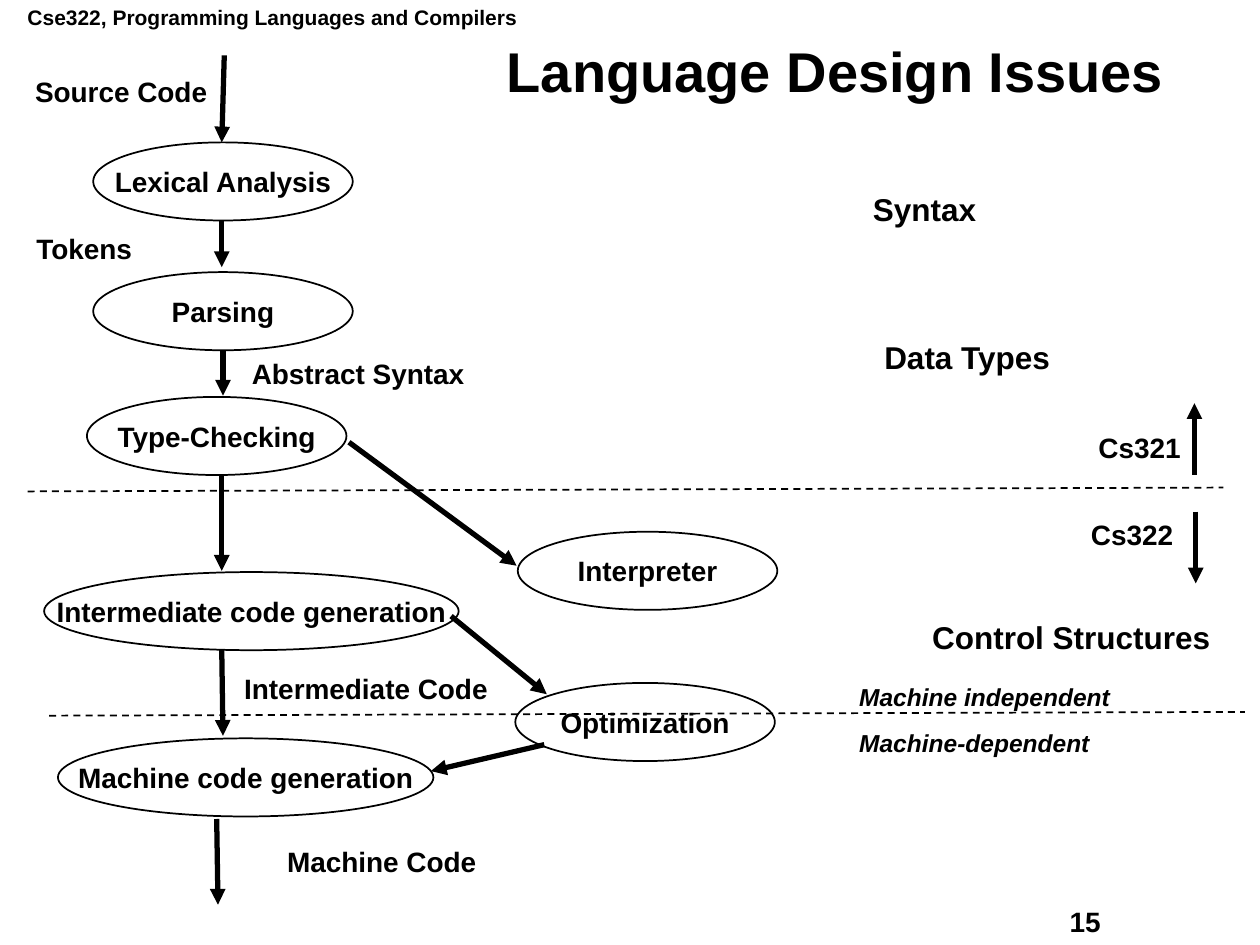
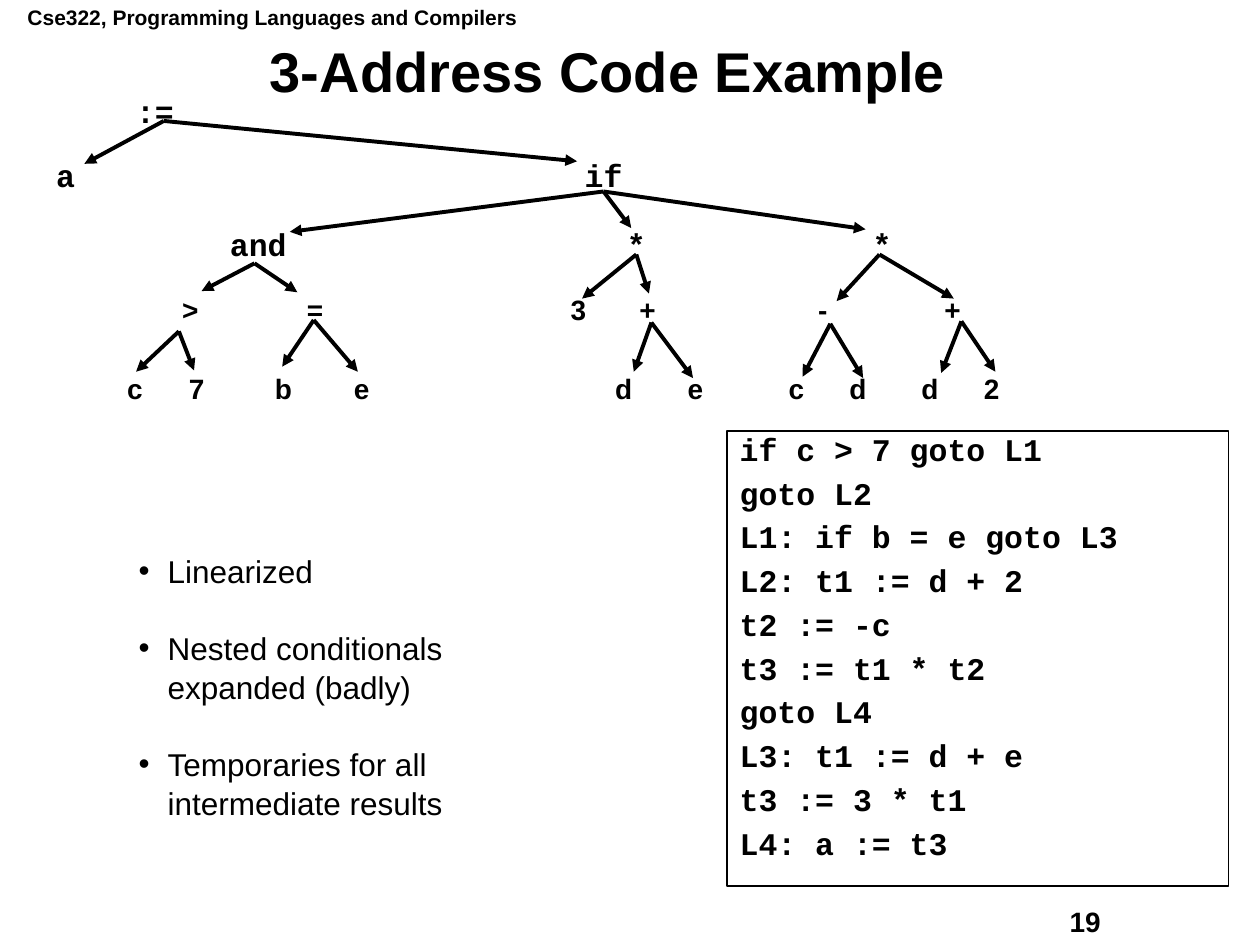
import lxml.etree
import pptx
import pptx.dml.color
import pptx.enum.dml
import pptx.enum.shapes
import pptx.enum.text
import pptx.oxml.ns
import pptx.util

COLUMNS, ROWS = 100, 75
ALIGN = pptx.enum.text.PP_ALIGN
ANCHOR = pptx.enum.text.MSO_ANCHOR
TITLE_ONLY, TWO_CONTENT = 5, 3


def colour(hex_string):
    return pptx.dml.color.RGBColor.from_string(hex_string)


def add_xml(parent, tag, **attributes):
    return lxml.etree.SubElement(parent, pptx.oxml.ns.qn(tag), attributes)


class Lecture:
    """Holds the style and the current slide; places are grid columns and rows."""

    ink, paper = "000000", "FFFFFF"
    sans, mono = "Arial", "Courier New"
    course = "Cse322, Programming Languages and Compilers"

    def __init__(self):
        self.deck = pptx.Presentation()
        self.deck.slide_width = pptx.util.Inches(10)
        self.deck.slide_height = pptx.util.Inches(7.5)
        self.slide = None

    def x(self, columns):
        return round(self.deck.slide_width * columns / COLUMNS)

    def y(self, rows):
        return round(self.deck.slide_height * rows / ROWS)

    def box(self, left, top, width, height):
        return self.x(left), self.y(top), self.x(width), self.y(height)

    def start(self, layout, title, number, align):
        self.slide = self.deck.slides.add_slide(self.deck.slide_layouts[layout])
        heading = self.slide.shapes.title
        self.place(heading, 3.1, 3.1, 90.3, 5.6)
        self.set_text(heading, [title], 32, align=align, anchor=ANCHOR.MIDDLE,
                      leading=0.9)
        self.label(self.course, 1.2, -0.1, 45, 3, size=12)
        self.label(number, 83.9, 71.3, 12.7)

    def place(self, holder, *grid_box):
        holder.left, holder.top, holder.width, holder.height = self.box(*grid_box)

    def set_text(self, holder, lines, size=16, font=sans, bold=True, italic=False,
                 align=ALIGN.LEFT, anchor=ANCHOR.TOP, leading=1.0, gap=0,
                 bullet=None, hang=0, wrap=True):
        frame = holder.text_frame
        frame.auto_size = pptx.enum.text.MSO_AUTO_SIZE.NONE
        frame.word_wrap = wrap
        frame.vertical_anchor = anchor
        frame.text = "\n".join(lines)
        for position, paragraph in enumerate(frame.paragraphs):
            properties = paragraph._p.get_or_add_pPr()
            properties.set("marL", str(self.x(hang)))
            properties.set("indent", str(-self.x(hang)))
            if bullet:
                add_xml(properties, "a:buChar", char=bullet)
            else:
                add_xml(properties, "a:buNone")
            paragraph.alignment = align
            paragraph.line_spacing = leading
            paragraph.space_before = pptx.util.Pt(gap if position else 0)
            paragraph.font.name = font
            paragraph.font.size = pptx.util.Pt(size)
            paragraph.font.bold = bold
            paragraph.font.italic = italic
            paragraph.font.color.rgb = colour(self.ink)

    def label(self, text, left, top, width=24, height=3.7, **style):
        holder = self.slide.shapes.add_textbox(*self.box(left, top, width, height))
        self.set_text(holder, text.split("\n"), **style)

    def node(self, text, centre, top, **style):
        width = 10
        self.label(text, centre - width / 2, top, width, align=ALIGN.CENTER, **style)

    def outline(self, holder, width=1):
        holder.line.color.rgb = colour(self.ink)
        holder.line.width = pptx.util.Pt(width)

    def phase(self, text, left, top, width=20.6, height=6.2):
        """Draw one compiler phase as an ellipse."""
        oval = self.slide.shapes.add_shape(
            pptx.enum.shapes.MSO_SHAPE.OVAL, *self.box(left, top, width, height))
        oval.shadow.inherit = False
        oval.fill.solid()
        oval.fill.fore_color.rgb = colour(self.paper)
        self.outline(oval)
        self.set_text(oval, [text], align=ALIGN.CENTER, anchor=ANCHOR.MIDDLE,
                      wrap=False)

    def line(self, start, end, width):
        connector = self.slide.shapes.add_connector(
            pptx.enum.shapes.MSO_CONNECTOR.STRAIGHT,
            self.x(start[0]), self.y(start[1]), self.x(end[0]), self.y(end[1]))
        self.outline(connector, width)
        add_xml(connector._element.spPr, "a:effectLst")
        return connector

    def arrow(self, start, end, width=3):
        connector = self.line(start, end, width)
        stroke = connector._element.spPr.find(pptx.oxml.ns.qn("a:ln"))
        add_xml(stroke, "a:tailEnd", type="triangle")

    def divider(self, start, end):
        self.line(start, end, 1).line.dash_style = pptx.enum.dml.MSO_LINE.DASH

    def body(self, index, grid_box, lines, **style):
        holder = self.slide.placeholders[index]
        self.place(holder, *grid_box)
        self.set_text(holder, lines, size=18, **style)
        return holder


def design_issues(lecture):
    lecture.start(TITLE_ONLY, "Language Design Issues", "15", ALIGN.RIGHT)

    for phase in (
        ("Lexical Analysis", 7.4, 11.3),
        ("Parsing", 7.4, 21.6),
        ("Type-Checking", 6.9, 31.5),
        ("Intermediate code generation", 3.5, 45.4, 32.9),
        ("Interpreter", 41.1, 42.2),
        ("Optimization", 40.9, 54.2),
        ("Machine code generation", 4.6, 58.6, 29.8),
    ):
        lecture.phase(*phase)

    main_flow = [
        ((17.8, 4.4), (17.6, 11.3)),
        ((17.6, 17.5), (17.6, 21.2)),
        ((17.7, 27.8), (17.7, 31.4)),
        ((17.6, 37.7), (17.6, 45.3)),
        ((17.6, 51.6), (17.7, 58.4)),
        ((17.2, 65), (17.3, 71.8)),
    ]
    side_flow = [
        ((27.7, 35.1), (41, 44.9)),
        ((35.8, 48.9), (43.4, 55.1)),
        ((43.2, 59.1), (34.2, 61.2)),
    ]
    course_scope = [((94.8, 37.7), (94.8, 32)), ((94.9, 40.6), (94.9, 46.3))]
    for start, end in main_flow + side_flow + course_scope:
        lecture.arrow(start, end)
    lecture.divider((2.2, 39), (97.1, 38.7))
    lecture.divider((3.9, 56.8), (98.8, 56.5))

    for passed_on in (
        ("Source Code", 1.8, 5.4),
        ("Tokens", 1.9, 17.9),
        ("Abstract Syntax", 19, 27.8),
        ("Intermediate Code", 18.4, 52.8),
        ("Machine Code", 21.8, 66.5),
        ("Cs321", 86.2, 33.7, 9),
        ("Cs322", 85.6, 40.6, 9),
    ):
        lecture.label(*passed_on)
    for issue in (
        ("Syntax", 68.3, 14.6),
        ("Data Types", 69.2, 26.3),
        ("Control Structures", 73, 48.6),
    ):
        lecture.label(*issue, width=25, size=18)
    lecture.label("Machine independent\nMachine-dependent", 67.2, 53.6, 29.2, 6.9,
                  size=14, italic=True, gap=9.6)


def three_address_code(lecture):
    lecture.start(TWO_CONTENT, "3-Address Code Example", "19", ALIGN.CENTER)

    code = [
        "if c > 7 goto L1",
        "goto L2",
        "L1: if b = e goto L3",
        "L2: t1 := d + 2",
        "t2 := -c",
        "t3 := t1 * t2",
        "goto L4",
        "L3: t1 := d + e",
        "t3 := 3 * t1",
        "L4: a := t3",
    ]
    listing = lecture.body(2, (57.7, 34.2, 39.8, 36.1), code, font=lecture.mono,
                           leading=0.8, gap=7.7, hang=3.1)
    lecture.outline(listing)
    remarks = [
        "Linearized",
        "Nested conditionals expanded (badly)",
        "Temporaries for all intermediate results",
    ]
    lecture.body(1, (10, 43.2, 31.1, 26.6), remarks, bold=False,
                 leading=1.04, gap=21.5, bullet="•", hang=2.3)

    keyword = {"size": 18, "font": lecture.mono}
    operand = {"size": 16}
    tree_levels = [
        (6.8, keyword, [(":=", 12.3)]),
        (11.9, keyword, [("a", 5.2), ("if", 47.9)]),
        (17.4, keyword, [("and", 20.5), ("*", 50.5), ("*", 70)]),
        (22.7, operand, [(">", 15.1), ("=", 25), ("3", 45.9), ("+", 51.4),
                         ("-", 65.3), ("+", 75.6)]),
        (29, operand, [("c", 10.7), ("7", 15.6), ("b", 22.5), ("e", 28.7),
                       ("d", 49.5), ("e", 55.2), ("c", 63.2), ("d", 68.1),
                       ("d", 73.8), ("2", 78.7)]),
    ]
    for top, style, nodes in tree_levels:
        for text, centre in nodes:
            lecture.node(text, centre, top, **style)

    branches = {
        (13, 9.6): [(6.7, 13), (45.8, 12.8)],
        (47.9, 15.2): [(23, 18.4), (50.1, 18.1), (68.7, 18.2)],
        (20.2, 20.9): [(16, 23.1), (23.6, 23.2)],
        (50.5, 20.2): [(46.2, 23.7), (51.5, 23.3)],
        (69.8, 20.2): [(66.4, 23.9), (75.7, 23.7)],
        (14.2, 26.3): [(10.8, 29.5), (15.4, 29.4)],
        (24.9, 25.4): [(22.4, 29.1), (28.4, 29.5)],
        (51.7, 25.6): [(50.3, 29.5), (55, 30)],
        (65.9, 25.7): [(63.7, 29.9), (68.5, 30)],
        (76.3, 25.5): [(74.7, 29.6), (79, 29.5)],
    }
    for fork, tips in branches.items():
        for tip in tips:
            lecture.arrow(fork, tip, width=2.25)


def main():
    lecture = Lecture()
    design_issues(lecture)
    three_address_code(lecture)
    lecture.deck.save("out.pptx")


if __name__ == "__main__":
    main()
